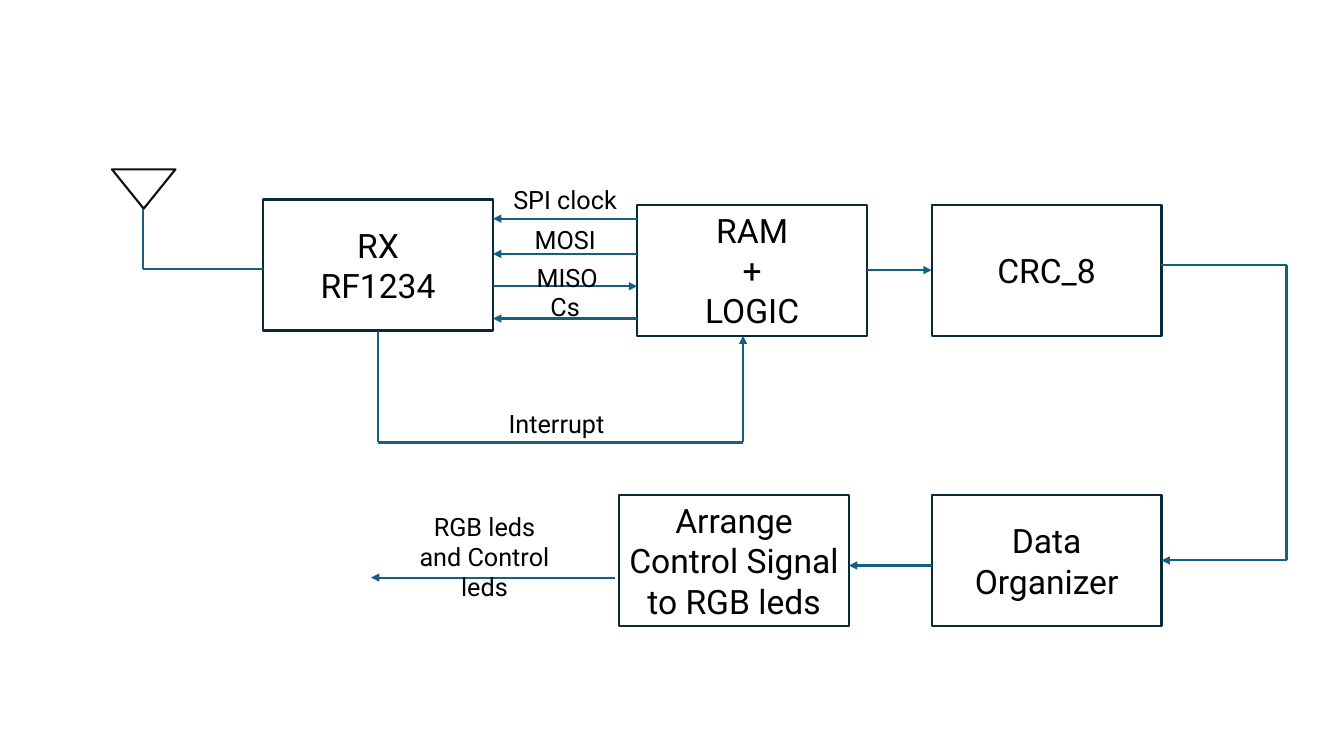
"""Build the block diagram of a radio receiver that drives RGB leds."""
from dataclasses import dataclass

from lxml import etree
from pptx import Presentation
from pptx.dml.color import RGBColor
from pptx.enum.shapes import MSO_CONNECTOR, MSO_SHAPE
from pptx.enum.text import MSO_ANCHOR, MSO_AUTO_SIZE, PP_ALIGN
from pptx.oxml.ns import qn
from pptx.shapes.autoshape import Shape
from pptx.slide import Slide
from pptx.text.text import TextFrame
from pptx.util import Inches, Pt

STRAIGHT = MSO_CONNECTOR.STRAIGHT
RECTANGLE = MSO_SHAPE.RECTANGLE
TRIANGLE = MSO_SHAPE.FLOWCHART_EXTRACT
MIDDLE = MSO_ANCHOR.MIDDLE
GROW = MSO_AUTO_SIZE.SHAPE_TO_FIT_TEXT
CENTER = PP_ALIGN.CENTER

WHITE = RGBColor(0xFF, 0xFF, 0xFF)
BLACK = RGBColor(0x00, 0x00, 0x00)
ANTENNA_INK = RGBColor(0x0D, 0x0D, 0x0D)
BLOCK_BORDER = RGBColor(0x09, 0x2A, 0x39)
SIGNAL_BLUE = RGBColor(0x15, 0x60, 0x82)

LINE_WIDTH = Pt(1.5)
BLOCK_WIDTH, BLOCK_HEIGHT = 2.28, 1.3
BLOCK_FONT = {"name": "Roboto", "size": Pt(24)}
LABEL_FONT = {"name": "Roboto", "size": Pt(18)}
BLOCK_FRAME = {"word_wrap": True, "vertical_anchor": MIDDLE}
LABEL_FRAME = {"word_wrap": True, "auto_size": GROW}


@dataclass(frozen=True)
class Block:
    """A titled box of the standard block size."""
    left: float
    top: float
    lines: tuple[str, ...]


@dataclass(frozen=True)
class Label:
    """The caption of a signal."""
    left: float
    top: float
    width: float
    text: str
    height: float = 0.4


@dataclass(frozen=True)
class Signal:
    """A route through points, with an arrowhead at its end if wanted."""
    points: tuple[tuple[float, float], ...]
    arrow: bool = True


RX_LEFT, RAM_LEFT, CRC_LEFT, ARRANGE_LEFT = 2.61, 6.32, 9.24, 6.14
RX_RIGHT = RX_LEFT + BLOCK_WIDTH
RAM_RIGHT = RAM_LEFT + BLOCK_WIDTH
CRC_RIGHT = CRC_LEFT + BLOCK_WIDTH
ARRANGE_RIGHT = ARRANGE_LEFT + BLOCK_WIDTH
UPPER_TOP, LOWER_TOP = 2.03, 4.91

BLOCKS = (
    Block(RX_LEFT, 1.98, ("RX", "RF1234")),
    Block(RAM_LEFT, UPPER_TOP, ("RAM", "+", "LOGIC")),
    Block(CRC_LEFT, UPPER_TOP, ("CRC_8",)),
    Block(CRC_LEFT, LOWER_TOP, ("Data", "Organizer")),
    Block(ARRANGE_LEFT, LOWER_TOP, ("Arrange Control Signal to RGB leds",)),
)
SIGNALS = (
    Signal(((RX_LEFT, 2.67), (1.42, 2.67), (1.42, 2.07)), arrow=False),
    *(Signal(((RAM_LEFT, y), (RX_RIGHT, y))) for y in (2.17, 2.52, 3.16)),
    Signal(((RX_RIGHT, 2.84), (RAM_LEFT, 2.84))),
    Signal(((3.75, 3.28), (3.75, 4.39), (7.37, 4.39), (7.37, 3.33))),
    Signal(((RAM_RIGHT, 2.68), (CRC_LEFT, 2.68))),
    Signal(((CRC_RIGHT, 2.63), (12.76, 2.63), (12.76, 5.56), (CRC_RIGHT, 5.56))),
    Signal(((CRC_LEFT, 5.61), (ARRANGE_RIGHT, 5.61))),
    Signal(((6.1, 5.73), (3.68, 5.73))),
)
LABELS = (
    Label(4.97, 1.78, 1.27, "SPI clock"),
    Label(4.97, 2.18, 1.27, "MOSI"),
    Label(4.99, 2.55, 1.27, "MISO"),
    Label(4.97, 2.84, 1.27, "Cs"),
    Label(4.8, 4, 1.44, "Interrupt"),
    Label(3.97, 5.02, 1.67, "RGB leds and Control leds", 0.71),
)


def apply_format(target: object, values: dict[str, object]) -> None:
    """Set each named attribute on the target."""
    for name, value in values.items():
        setattr(target, name, value)


def write_text(frame: TextFrame, lines: tuple[str, ...],
               frame_format: dict[str, object], font_format: dict[str, object]) -> None:
    """Write centred black paragraphs, one for each line."""
    apply_format(frame, frame_format)
    for index, line in enumerate(lines):
        paragraph = frame.add_paragraph() if index else frame.paragraphs[0]
        paragraph.alignment = CENTER
        run = paragraph.add_run()
        run.text = line
        apply_format(run.font, font_format)
        run.font.color.rgb = BLACK


def add_outlined_shape(slide: Slide, kind: MSO_SHAPE, left: float, top: float,
                       width: float, height: float, border: RGBColor) -> Shape:
    """Add a white preset shape with a plain border."""
    shape = slide.shapes.add_shape(
        kind, Inches(left), Inches(top), Inches(width), Inches(height))
    shape.shadow.inherit = False
    shape.fill.solid()
    shape.fill.fore_color.rgb = WHITE
    shape.line.color.rgb = border
    shape.line.width = LINE_WIDTH
    return shape


def draw_block(slide: Slide, block: Block) -> None:
    """Draw one block with its title."""
    shape = add_outlined_shape(slide, RECTANGLE, block.left, block.top,
                               BLOCK_WIDTH, BLOCK_HEIGHT, BLOCK_BORDER)
    write_text(shape.text_frame, block.lines, BLOCK_FRAME, BLOCK_FONT)


def draw_signal(slide: Slide, signal: Signal) -> None:
    """Draw the straight segments of one signal."""
    last_point = signal.points[-1]
    for start, end in zip(signal.points, signal.points[1:]):
        connector = slide.shapes.add_connector(
            STRAIGHT, *(Inches(length) for length in (*start, *end)))
        connector.line.color.rgb = SIGNAL_BLUE
        connector.line.width = LINE_WIDTH
        properties = connector.element.spPr
        if signal.arrow and end == last_point:
            outline = properties.find(qn("a:ln"))
            etree.SubElement(outline, qn("a:tailEnd"), type="triangle")
        etree.SubElement(properties, qn("a:effectLst"))


def draw_label(slide: Slide, label: Label) -> None:
    """Draw the caption of one signal."""
    text_box = slide.shapes.add_textbox(
        Inches(label.left), Inches(label.top), Inches(label.width), Inches(label.height))
    write_text(text_box.text_frame, (label.text,), LABEL_FRAME, LABEL_FONT)


def main() -> None:
    """Build and save the presentation."""
    presentation = Presentation()
    presentation.slide_width = Inches(13.33)
    presentation.slide_height = Inches(7.5)
    slide = presentation.slides.add_slide(presentation.slide_layouts[6])
    for block in BLOCKS:
        draw_block(slide, block)
    antenna = add_outlined_shape(slide, TRIANGLE, 1.11, 1.68, 0.63, 0.39, ANTENNA_INK)
    antenna.rotation = 180
    for signal in SIGNALS:
        draw_signal(slide, signal)
    for label in LABELS:
        draw_label(slide, label)
    presentation.save("out.pptx")


if __name__ == "__main__":
    main()
